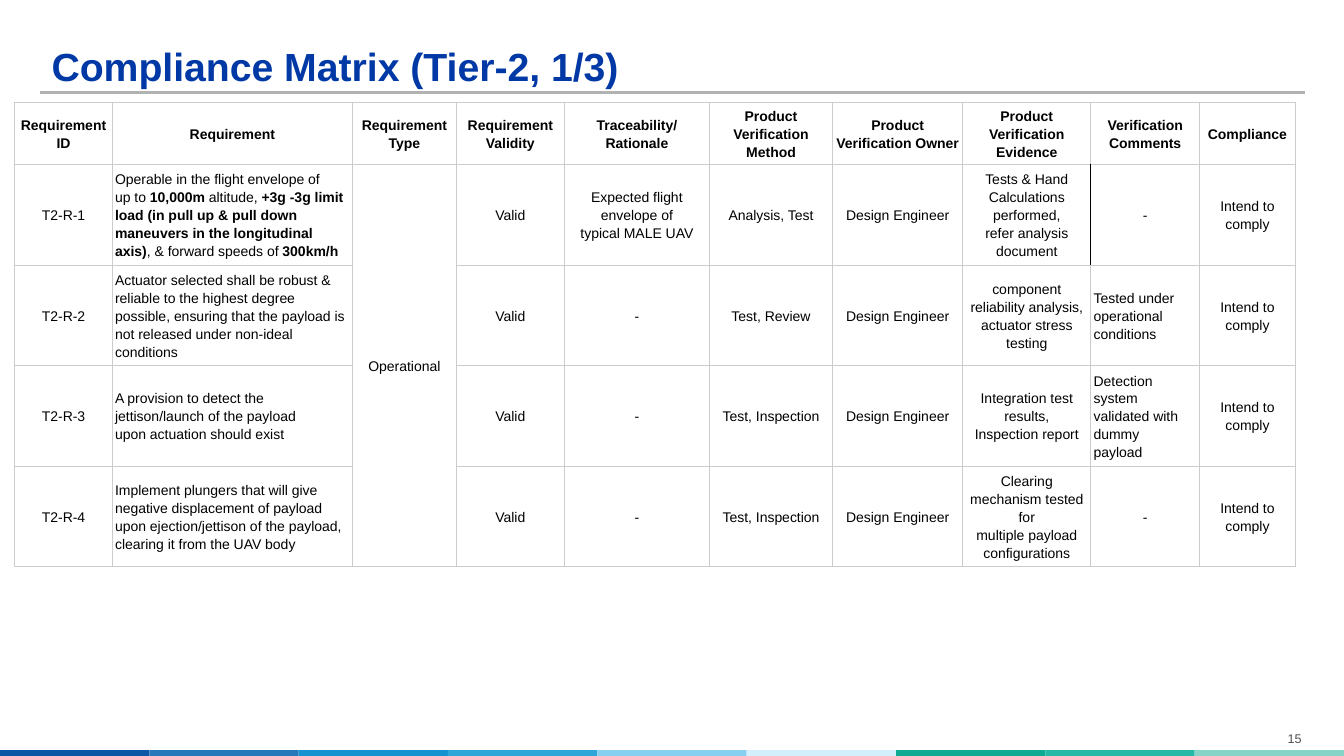
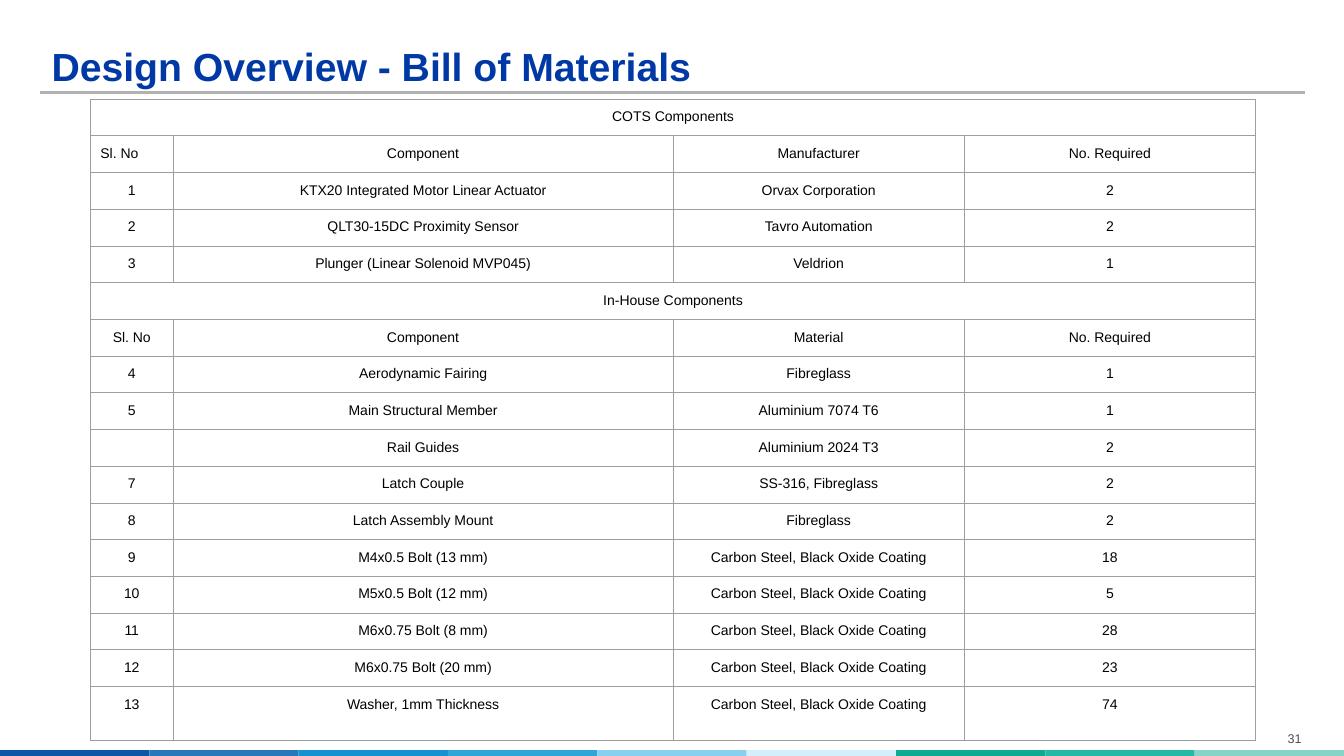
from dataclasses import dataclass
from itertools import product

from lxml.etree import SubElement
from pptx import Presentation
from pptx.dml.color import RGBColor
from pptx.enum.shapes import MSO_CONNECTOR, MSO_SHAPE
from pptx.enum.text import MSO_ANCHOR, PP_ALIGN
from pptx.oxml.ns import qn
from pptx.util import Cm, Pt


@dataclass(frozen=True)
class Theme:
    font: str = "Arial"
    title: str = "0039A6"
    text: str = "000000"
    muted: str = "4F4F4F"
    rule: str = "B2B2B2"
    matrix_grid: str = "CCCCCC"
    bom_grid: str = "9E9E9E"
    bands: tuple = ("0B57A5", "2777BB", "1592D0", "2EA7D8", "87D0F0",
                    "D2EFFB", "0EAB92", "24B9A6", "86D3C7")
    title_size: int = 28
    table_size: int = 10
    number_size: int = 9
    rule_width: float = 2.25
    grid_width: float = 0.75


T = Theme()
WIDTH, HEIGHT = 33.87, 19.05

MATRIX_COLS = [2.46, 6.05, 2.62, 2.72, 3.66, 3.1, 3.28, 3.23, 2.74, 2.41]
MATRIX_ROWS = [1.46] + [2.37] * 4
MATRIX_LEFT = {1, 8}
EVIDENCE, COMMENTS = 7, 8
MATRIX = [
    ["Requirement ID", "Requirement", "Requirement Type", "Requirement Validity",
     "Traceability/\nRationale", "Product Verification Method",
     "Product Verification Owner", "Product Verification Evidence",
     "Verification Comments", "Compliance"],
    ["T2-R-1",
     "Operable in the flight envelope of\nup to **10,000m** altitude, "
     "**+3g -3g limit load (in pull up & pull down maneuvers in the longitudinal axis)**"
     ", & forward speeds of **300km/h**",
     "Operational", "Valid", "Expected flight envelope of\ntypical MALE UAV",
     "Analysis, Test", "Design Engineer",
     "Tests & Hand\nCalculations\nperformed,\nrefer analysis\ndocument",
     "-", "Intend to comply"],
    ["T2-R-2",
     "Actuator selected shall be robust & reliable to the highest degree possible, "
     "ensuring that the payload is not released under non-ideal conditions",
     "", "Valid", "-", "Test, Review", "Design Engineer",
     "component reliability analysis,\nactuator stress testing",
     "Tested under\noperational conditions", "Intend to comply"],
    ["T2-R-3",
     "A provision to detect the jettison/launch of the payload\n"
     "upon actuation should exist",
     "", "Valid", "-", "Test, Inspection", "Design Engineer",
     "Integration test results,\nInspection report",
     "Detection system\nvalidated with dummy\npayload", "Intend to comply"],
    ["T2-R-4",
     "Implement plungers that will give negative displacement of payload upon "
     "ejection/jettison of the payload, clearing it from the UAV body",
     "", "Valid", "-", "Test, Inspection", "Design Engineer",
     "Clearing mechanism tested for\nmultiple payload configurations",
     "-", "Intend to comply"],
]

COATED = "Carbon Steel, Black Oxide Coating"
BOM_COLS = [2.08, 12.6, 7.34, 7.34]
BOM_ROWS = [0.9] * 16 + [1.35]
BOM = [
    ["COTS Components", "", "", ""],
    ["Sl. No", "Component", "Manufacturer", "No. Required"],
    ["1", "KTX20 Integrated Motor Linear Actuator", "Orvax Corporation", "2"],
    ["2", "QLT30-15DC Proximity Sensor", "Tavro Automation", "2"],
    ["3", "Plunger (Linear Solenoid MVP045)", "Veldrion", "1"],
    ["In-House Components", "", "", ""],
    ["Sl. No", "Component", "Material", "No. Required"],
    ["4", "Aerodynamic Fairing", "Fibreglass", "1"],
    ["5", "Main Structural Member", "Aluminium 7074 T6", "1"],
    ["", "Rail Guides", "Aluminium 2024 T3", "2"],
    ["7", "Latch Couple", "SS-316, Fibreglass", "2"],
    ["8", "Latch Assembly Mount", "Fibreglass", "2"],
    ["9", "M4x0.5 Bolt (13 mm)", COATED, "18"],
    ["10", "M5x0.5 Bolt (12 mm)", COATED, "5"],
    ["11", "M6x0.75 Bolt (8 mm)", COATED, "28"],
    ["12", "M6x0.75 Bolt (20 mm)", COATED, "23"],
    ["13", "Washer, 1mm Thickness", COATED, "74"],
]


def write(tf, text, size=T.table_size, color=T.text, bold=False,
          align=PP_ALIGN.LEFT, spacing=1.0):
    tf.word_wrap = True
    for i, line in enumerate(text.split("\n")):
        p = tf.add_paragraph() if i else tf.paragraphs[0]
        p.alignment = align
        p.line_spacing = spacing
        if not line:
            SubElement(p._p, qn("a:endParaRPr"), sz=str(size * 100))
            continue
        for j, part in enumerate(line.split("**")):
            if part:
                r = p.add_run()
                r.text = part
                r.font.name = T.font
                r.font.size = Pt(size)
                r.font.bold = bold or j % 2 == 1
                r.font.color.rgb = RGBColor.from_string(color)


def add_text(s, text, left, top, width, height, anchor=MSO_ANCHOR.TOP,
             margins=(0.25, 0.13), **fmt):
    tf = s.shapes.add_textbox(Cm(left), Cm(top), Cm(width), Cm(height)).text_frame
    tf.margin_left = tf.margin_right = Cm(margins[0])
    tf.margin_top = tf.margin_bottom = Cm(margins[1])
    tf.vertical_anchor = anchor
    write(tf, text, **fmt)


def add_base(prs, title, number):
    s = prs.slides.add_slide(prs.slide_layouts[6])
    group = s.shapes.add_group_shape()
    step = WIDTH / len(T.bands)
    for i, color in enumerate(T.bands):
        sp = group.shapes.add_shape(MSO_SHAPE.RECTANGLE, Cm(i * step), Cm(18.9),
                                    Cm(step), Cm(HEIGHT - 18.9))
        sp.shadow.inherit = False
        sp.fill.solid()
        sp.fill.fore_color.rgb = RGBColor.from_string(color)
        sp.line.fill.background()
    rule = s.shapes.add_connector(MSO_CONNECTOR.STRAIGHT, Cm(1), Cm(2.34),
                                  Cm(32.89), Cm(2.34))
    rule.line.color.rgb = RGBColor.from_string(T.rule)
    rule.line.width = Pt(T.rule_width)
    SubElement(rule._element.spPr, qn("a:effectLst"))
    add_text(s, title, 1.3, 0.5, 31.32, 1.78, MSO_ANCHOR.BOTTOM, (0, 0),
             size=T.title_size, color=T.title, bold=True, spacing=0.9)
    add_text(s, number, 31.57, 18.29, 2.11, 0.64, size=T.number_size,
             color=T.muted, align=PP_ALIGN.CENTER)
    return s


def set_borders(cell, colors):
    tcPr = cell._tc.get_or_add_tcPr()
    for side in "LRTB":
        ln = SubElement(tcPr, qn(f"a:ln{side}"), w=str(Pt(T.grid_width)))
        fill = SubElement(ln, qn("a:solidFill"))
        SubElement(fill, qn("a:srgbClr"), val=colors[side])


def add_grid(s, rows, widths, heights, left, top, grid, merges, margins, anchor,
             align_of, header_bold=False, spacing=1.0, edges=None):
    table = s.shapes.add_table(len(rows), len(widths), Cm(left), Cm(top),
                               Cm(sum(widths)), Cm(sum(heights))).table
    table.first_row = table.horz_banding = False
    for col, width in zip(table.columns, widths):
        col.width = Cm(width)
    for row, height in zip(table.rows, heights):
        row.height = Cm(height)
    for first, last in merges:
        table.cell(*first).merge(table.cell(*last))
    for r, c in product(range(len(rows)), range(len(widths))):
        cell = table.cell(r, c)
        cell.margin_left = cell.margin_right = Cm(margins[0])
        cell.margin_top = cell.margin_bottom = Cm(margins[1])
        cell.vertical_anchor = anchor
        set_borders(cell, dict.fromkeys("LRTB", grid) | (edges or {}).get((r, c), {}))
        cell.fill.background()
        write(cell.text_frame, rows[r][c], bold=header_bold and r == 0,
              align=align_of(r, c), spacing=spacing)


def matrix_align(r, c):
    prose = r > 0 and c in MATRIX_LEFT and MATRIX[r][c] != "-"
    return PP_ALIGN.LEFT if prose else PP_ALIGN.CENTER


def bom_align(r, c):
    return PP_ALIGN.LEFT if (r, c) == (1, 0) else PP_ALIGN.CENTER


def main():
    prs = Presentation()
    prs.slide_width, prs.slide_height = Cm(WIDTH), Cm(HEIGHT)

    s = add_base(prs, "Compliance Matrix (Tier-2, 1/3)", "15")
    add_grid(s, MATRIX, MATRIX_COLS, MATRIX_ROWS, 0.37, 2.58, T.matrix_grid,
             [((1, 2), (4, 2))], (0.07, 0.05), MSO_ANCHOR.MIDDLE, matrix_align,
             header_bold=True, spacing=1.15,
             edges={(1, EVIDENCE): {"R": T.text}, (1, COMMENTS): {"L": T.text}})

    s = add_base(prs, "Design Overview - Bill of Materials", "31")
    sections = [r for r, row in enumerate(BOM) if not any(row[1:])]
    add_grid(s, BOM, BOM_COLS, BOM_ROWS, 2.28, 2.5, T.bom_grid,
             [((r, 0), (r, 3)) for r in sections], (0.25, 0.25),
             MSO_ANCHOR.TOP, bom_align)

    prs.save("out.pptx")


if __name__ == "__main__":
    main()
